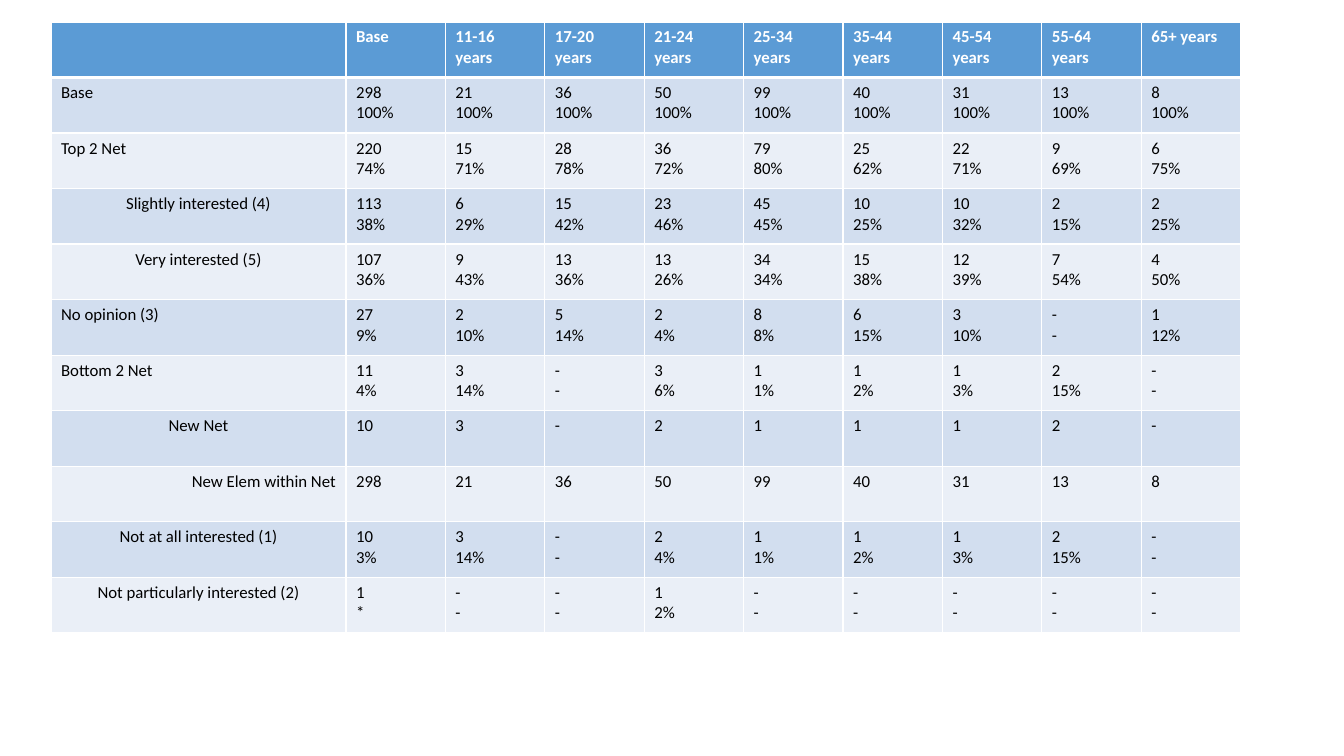
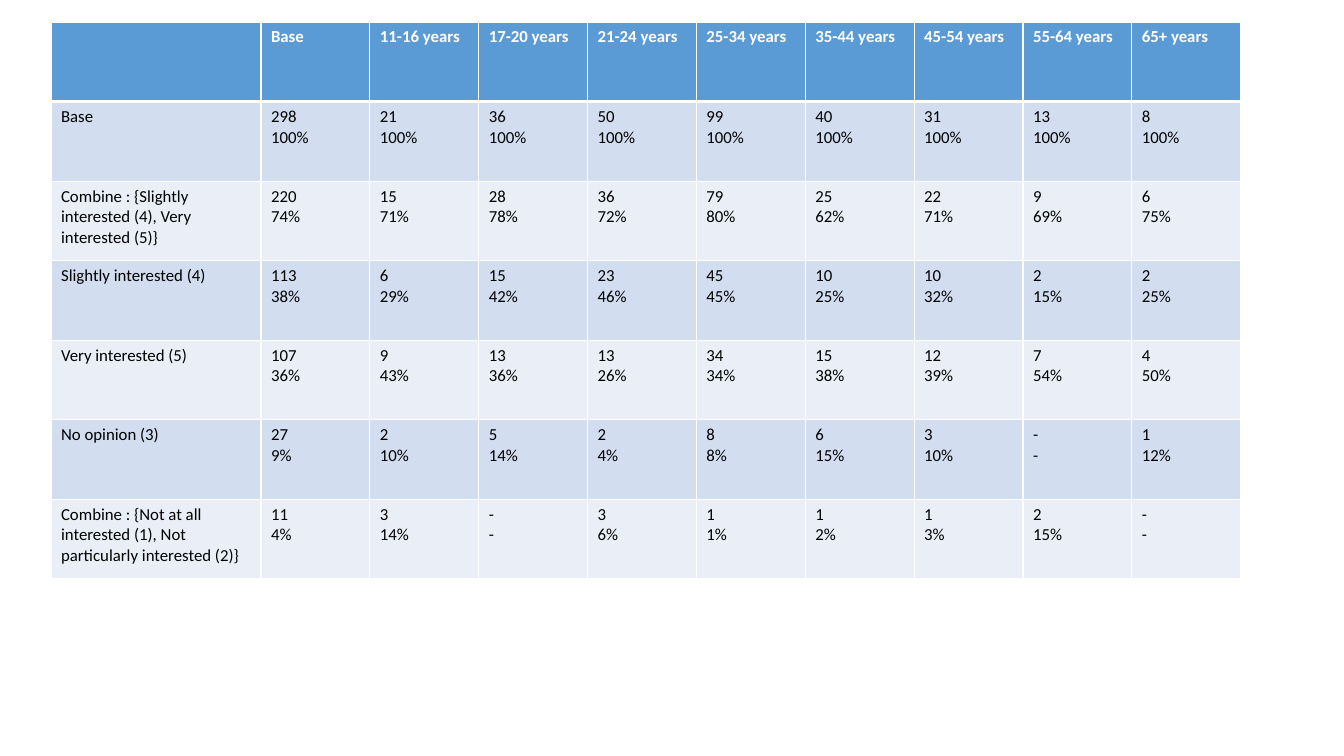
from dataclasses import dataclass

from lxml.etree import SubElement
from pptx import Presentation
from pptx.dml.color import RGBColor
from pptx.enum.text import PP_ALIGN as Align
from pptx.oxml.ns import qn
from pptx.util import Pt

# Shared scale, colours and text format
EMU_PER_PIXEL = 914400 / 100.8
WHITE = RGBColor(0xFF, 0xFF, 0xFF)
BLACK = RGBColor(0x00, 0x00, 0x00)
HEADER_BLUE = RGBColor(0x5B, 0x9B, 0xD5)
BANDS = (RGBColor(0xD2, 0xDE, 0xEF), RGBColor(0xEA, 0xEF, 0xF7))
TEXT_FORMAT = {"name": "Calibri", "size": Pt(12)}
PLAIN_TABLE = {"first_row": False, "horz_banding": False}
THIN, THICK = Pt(1), Pt(3)

# Shared table frame, in pixels
TABLE_LEFT, TABLE_TOP, TABLE_WIDTH = 51, 22, 1190
HEADINGS = ["", "Base"] + [
    f"{ages} years"
    for ages in "11-16 17-20 21-24 25-34 35-44 45-54 55-64 65+".split()
]


@dataclass(frozen=True)
class Figures:
    counts: str
    shares: str = ""

    def texts(self) -> list[str]:
        counts, shares = self.counts.split(), self.shares.split()
        if not shares:
            return counts
        return [f"{count}\n{share}" for count, share in zip(counts, shares)]


@dataclass(frozen=True)
class Row:
    label: str
    figures: Figures
    alignment: Align = Align.LEFT


@dataclass(frozen=True)
class SurveyTable:
    label_width: int
    height: int
    rows: tuple[Row, ...]


# Survey figures: Base, then the age groups
BASE = Figures("298 21 36 50 99 40 31 13 8", " ".join(["100%"] * 9))
TOP_TWO = Figures("220 15 28 36 79 25 22 9 6",
                  "74% 71% 78% 72% 80% 62% 71% 69% 75%")
SLIGHTLY = Figures("113 6 15 23 45 10 10 2 2",
                   "38% 29% 42% 46% 45% 25% 32% 15% 25%")
VERY = Figures("107 9 13 13 34 15 12 7 4",
               "36% 43% 36% 26% 34% 38% 39% 54% 50%")
NO_OPINION = Figures("27 2 5 2 8 6 3 - 1",
                     "9% 10% 14% 4% 8% 15% 10% - 12%")
BOTTOM_TWO = Figures("11 3 - 3 1 1 1 2 -", "4% 14% - 6% 1% 2% 3% 15% -")
NEW_NET = Figures("10 3 - 2 1 1 1 2 -")
NEW_ELEMENT = Figures(BASE.counts)
NOT_AT_ALL = Figures(NEW_NET.counts, "3% 14% - 4% 1% 2% 3% 15% -")
NOT_PARTICULARLY = Figures("1 - - 1 - - - - -", "* - - 2% - - - - -")

TABLES = (
    SurveyTable(295, 611, (
        Row("Base", BASE),
        Row("Top 2 Net", TOP_TWO),
        Row("Slightly interested (4)", SLIGHTLY, Align.CENTER),
        Row("Very interested (5)", VERY, Align.CENTER),
        Row("No opinion (3)", NO_OPINION),
        Row("Bottom 2 Net", BOTTOM_TWO),
        Row("New Net", NEW_NET, Align.CENTER),
        Row("New Elem within Net", NEW_ELEMENT, Align.RIGHT),
        Row("Not at all interested (1)", NOT_AT_ALL, Align.CENTER),
        Row("Not particularly interested (2)", NOT_PARTICULARLY, Align.CENTER),
    )),
    SurveyTable(210, 557, (
        Row("Base", BASE),
        Row("Combine : {Slightly interested (4), Very interested (5)}", TOP_TWO),
        Row("Slightly interested (4)", SLIGHTLY),
        Row("Very interested (5)", VERY),
        Row("No opinion (3)", NO_OPINION),
        Row("Combine : {Not at all interested (1), "
            "Not particularly interested (2)}", BOTTOM_TWO),
    )),
)


def emu(pixels: float) -> int:
    return round(pixels * EMU_PER_PIXEL)


def set_attributes(target, values: dict) -> None:
    for name, value in values.items():
        setattr(target, name, value)


def set_borders(cell, top: int, bottom: int) -> None:
    properties = cell._tc.get_or_add_tcPr()
    widths = {"a:lnL": THIN, "a:lnR": THIN, "a:lnT": top, "a:lnB": bottom}
    for tag, width in widths.items():
        line = SubElement(properties, qn(tag), w=str(int(width)))
        fill = SubElement(line, qn("a:solidFill"))
        SubElement(fill, qn("a:srgbClr"), val=str(WHITE))


def write_cell(cell, text: str, alignment: Align, color: RGBColor,
               bold: bool) -> None:
    paragraph = cell.text_frame.paragraphs[0]
    paragraph.text = text
    paragraph.alignment = alignment
    for run in paragraph.runs:
        set_attributes(run.font, TEXT_FORMAT | {"bold": bold})
        run.font.color.rgb = color
    # Line breaks take the text size too, to keep the line height
    for line_break in paragraph._p.findall(qn("a:br")):
        SubElement(line_break, qn("a:rPr"),
                   sz=str(int(TEXT_FORMAT["size"].pt * 100)))


def draw_table(slide, survey: SurveyTable) -> None:
    row_count, column_count = len(survey.rows) + 1, len(HEADINGS)
    frame = slide.shapes.add_table(
        row_count, column_count,
        *map(emu, (TABLE_LEFT, TABLE_TOP, TABLE_WIDTH, survey.height)))
    table = frame.table
    set_attributes(table, PLAIN_TABLE)

    # Even rows, and even columns beside the labels
    for row in table.rows:
        row.height = emu(survey.height / row_count)
    value_width = (TABLE_WIDTH - survey.label_width) / (column_count - 1)
    for index, column in enumerate(table.columns):
        column.width = emu(value_width if index else survey.label_width)

    # Header
    for index, heading in enumerate(HEADINGS):
        cell = table.cell(0, index)
        set_borders(cell, THIN, THICK)
        cell.fill.solid()
        cell.fill.fore_color.rgb = HEADER_BLUE
        write_cell(cell, heading, Align.LEFT, WHITE, True)

    # Banded body
    for row_index, row in enumerate(survey.rows, start=1):
        for index, text in enumerate([row.label, *row.figures.texts()]):
            cell = table.cell(row_index, index)
            set_borders(cell, THICK if row_index == 1 else THIN, THIN)
            cell.fill.solid()
            cell.fill.fore_color.rgb = BANDS[(row_index - 1) % len(BANDS)]
            alignment = Align.LEFT if index else row.alignment
            write_cell(cell, text, alignment, BLACK, False)


def main() -> None:
    presentation = Presentation()
    set_attributes(presentation,
                   {"slide_width": emu(1344), "slide_height": emu(756)})
    blank_layout = presentation.slide_layouts[6]
    for survey in TABLES:
        draw_table(presentation.slides.add_slide(blank_layout), survey)
    presentation.save("out.pptx")


main()
